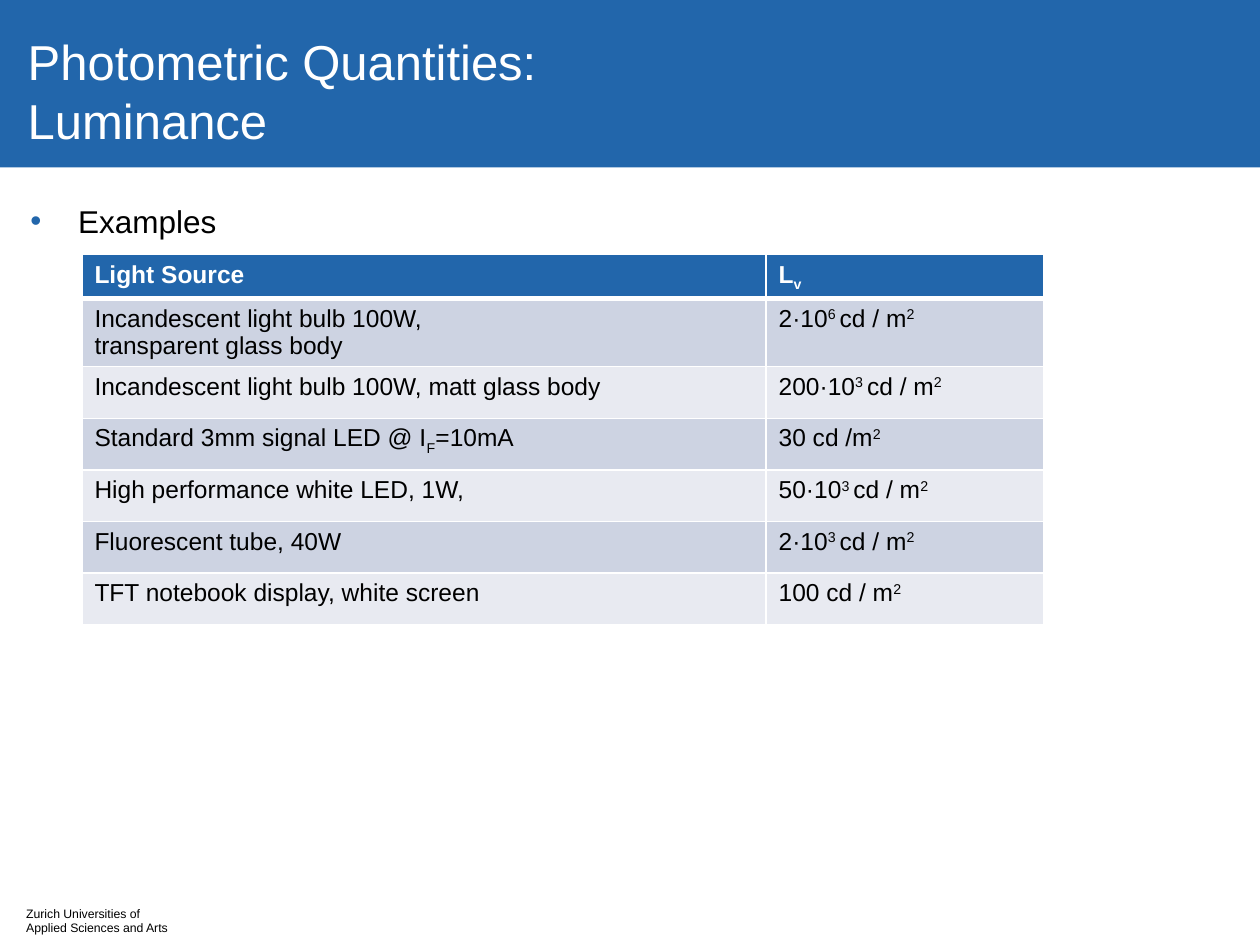
from lxml.etree import SubElement as Sub
from pptx import Presentation
from pptx.dml.color import RGBColor as Rgb
from pptx.enum.shapes import MSO_SHAPE as Shape
from pptx.enum.text import MSO_ANCHOR as Anchor, MSO_AUTO_SIZE as Fit, PP_ALIGN as Align
from pptx.oxml.ns import qn
from pptx.util import Inches, Pt

# Content: ^raised^ and ~lowered~ text stands between marks
TITLE = "Photometric Quantities: \vLuminance"
LEAD = "Examples"
FOOT = ["Zurich Universities of", "Applied Sciences and Arts"]
ROWS = [
    ("Light Source", "L~v~"),
    ("Incandescent light bulb 100W, \vtransparent glass body", "2·10^6 ^cd / m^2^"),
    ("Incandescent light bulb 100W, matt glass body", "200·10^3 ^cd / m^2^"),
    ("Standard 3mm signal LED @ I~F~=10mA", "30 cd /m^2^"),
    ("High performance white LED, 1W,", "50·10^3 ^cd / m^2^"),
    ("Fluorescent tube, 40W", "2·10^3 ^cd / m^2^"),
    ("TFT notebook display, white screen", "100 cd / m^2^"),
]
COLS = [5.43, 2.2]
HIGHS = [0.35, 0.54] + [0.41] * 5
BASE = {"^": "30000", "~": "-25000"}
HEX = {"blue": "2266AB", "white": "FFFFFF", "black": "000000",
       "dark": "CDD3E2", "light": "E8EAF1"}


def color(name):
    return Rgb.from_string(HEX[name])


def style(font, size, tint, bold=False):
    form = {"name": "Arial", "size": Pt(size), "bold": bold}
    for key, val in form.items():
        setattr(font, key, val)
    font.color.rgb = color(tint)


def place(shape, left, top, width, height):
    spot = {"left": left, "top": top, "width": width, "height": height}
    for key, val in spot.items():
        setattr(shape, key, Inches(val))


def write(para, text, size, tint, bold=False):
    mark = "~" if "~" in text else "^"
    for i, part in enumerate(text.split(mark)):
        if not part:
            continue
        for j, line in enumerate(part.split("\v")):
            if j:
                para.add_line_break()
            run = para.add_run()
            run.text = line
            style(run.font, size, tint, bold)
            if i % 2:
                run._r.get_or_add_rPr().set("baseline", BASE[mark])


def border(cell, low):
    props = cell._tc.get_or_add_tcPr()
    for i, side in enumerate(["lnL", "lnR", "lnT", "lnB"]):
        wide = low if side == "lnB" else 1
        line = props.makeelement(qn("a:" + side), {"w": str(Pt(wide))})
        fill = Sub(line, qn("a:solidFill"))
        Sub(fill, qn("a:srgbClr"), val=HEX["white"])
        props.insert(i, line)


deck = Presentation()
deck.slide_width, deck.slide_height = Inches(10), Inches(7.5)
slide = deck.slides.add_slide(deck.slide_layouts[1])
shapes = slide.shapes

# Title band, behind the title
band = shapes.add_shape(Shape.RECTANGLE, 0, 0, Inches(10), Inches(1.33))
band.shadow.inherit = False
band.fill.solid()
band.fill.fore_color.rgb = color("blue")
band.line.fill.background()
band.element.getparent().insert(2, band.element)

# Title
title = shapes.title
place(title, 0.12, 0.21, 7.6, 1.02)
frame = title.text_frame
frame.auto_size = Fit.NONE
frame.vertical_anchor = Anchor.MIDDLE
para = frame.paragraphs[0]
para.alignment = Align.LEFT
write(para, TITLE, 28, "white")

# Bulleted lead
body = slide.placeholders[1]
place(body, 0.14, 1.55, 9.59, 4.96)
body.text_frame.auto_size = Fit.NONE
para = body.text_frame.paragraphs[0]
para.space_before = Pt(0)
props = para._p.get_or_add_pPr()
props.set("marL", str(Inches(0.38)))
props.set("indent", str(-Inches(0.38)))
Sub(Sub(props, qn("a:buClr")), qn("a:srgbClr"), val=HEX["blue"])
Sub(props, qn("a:buFont"), typeface="Arial")
Sub(props, qn("a:buChar"), char="•")
write(para, LEAD, 18, "black")

# Table of light sources
table = shapes.add_table(len(ROWS), len(COLS), Inches(0.65), Inches(2.02),
                         Inches(sum(COLS)), Inches(sum(HIGHS))).table
for col, wide in zip(table.columns, COLS):
    col.width = Inches(wide)
for r, (row, high) in enumerate(zip(ROWS, HIGHS)):
    table.rows[r].height = Inches(high)
    head = r == 0
    back = "blue" if head else ("light", "dark")[r % 2]
    for c, text in enumerate(row):
        cell = table.cell(r, c)
        cell.fill.solid()
        cell.fill.fore_color.rgb = color(back)
        border(cell, 3 if head else 1)
        write(cell.text_frame.paragraphs[0], text, 14,
              "white" if head else "black", head)

# Footer
foot = shapes.add_textbox(Inches(0.11), Inches(7.14), Inches(2.69), Inches(0.34))
frame = foot.text_frame
frame.word_wrap = True
for i, line in enumerate(FOOT):
    para = frame.add_paragraph() if i else frame.paragraphs[0]
    write(para, line, 7, "black")

deck.save("out.pptx")
